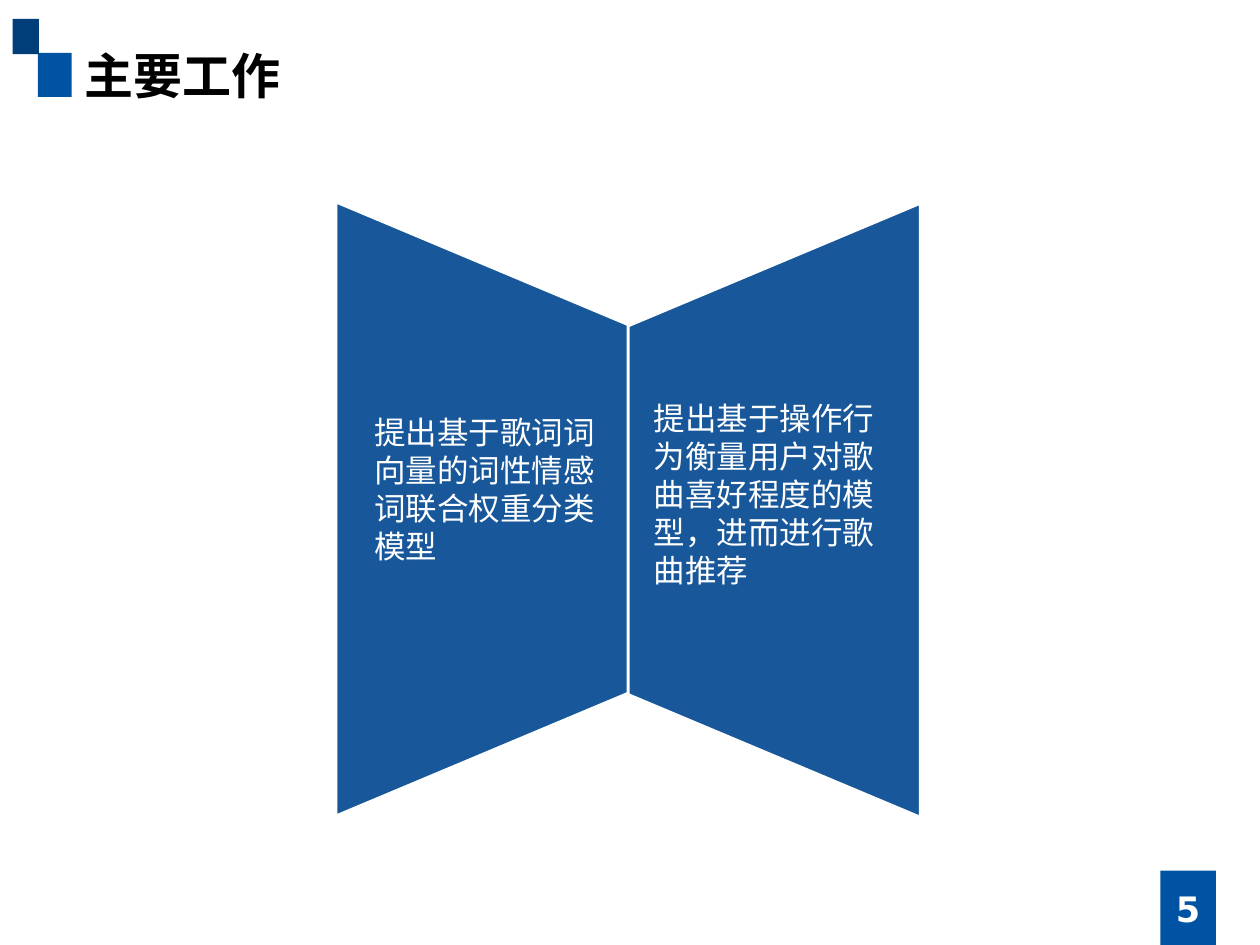
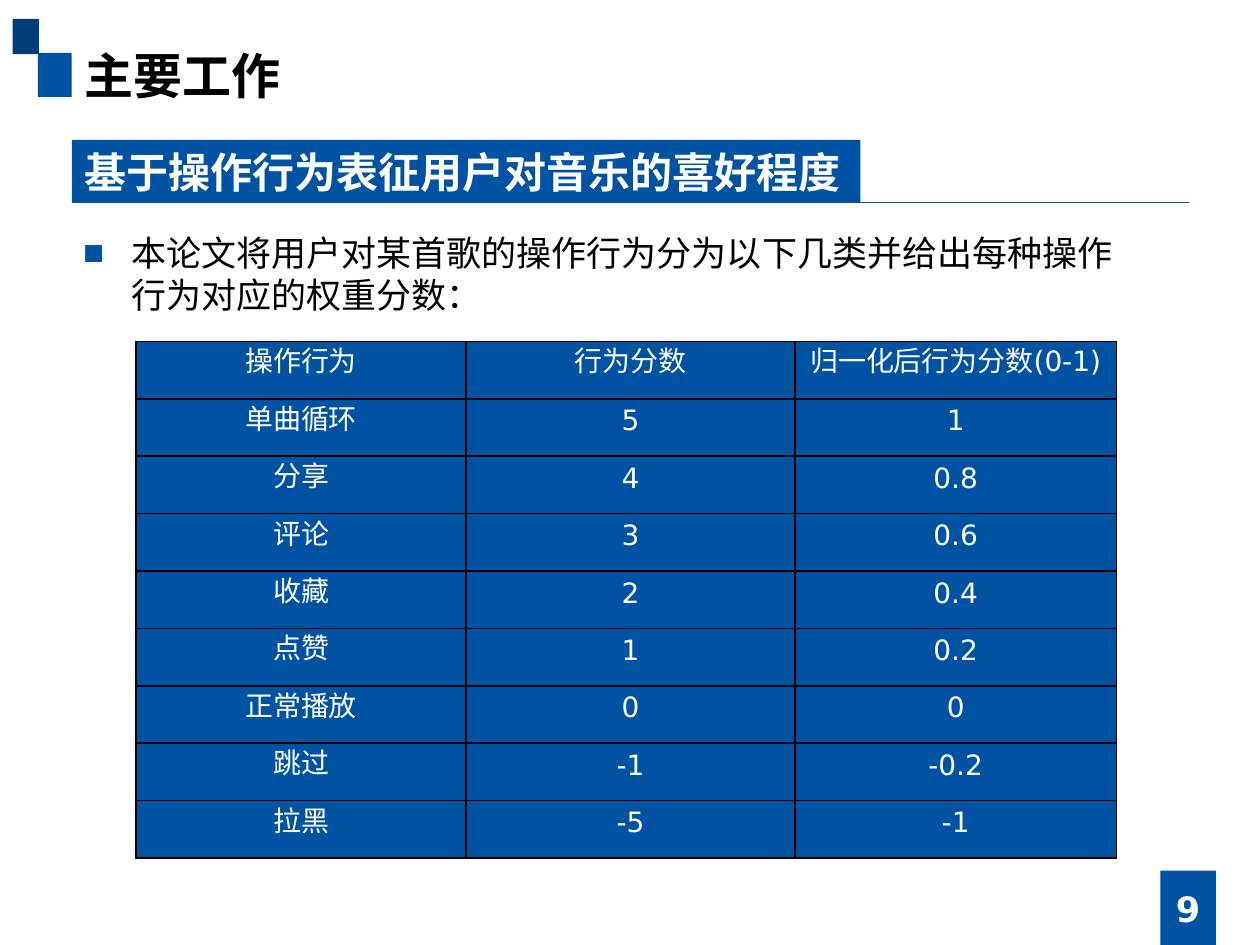
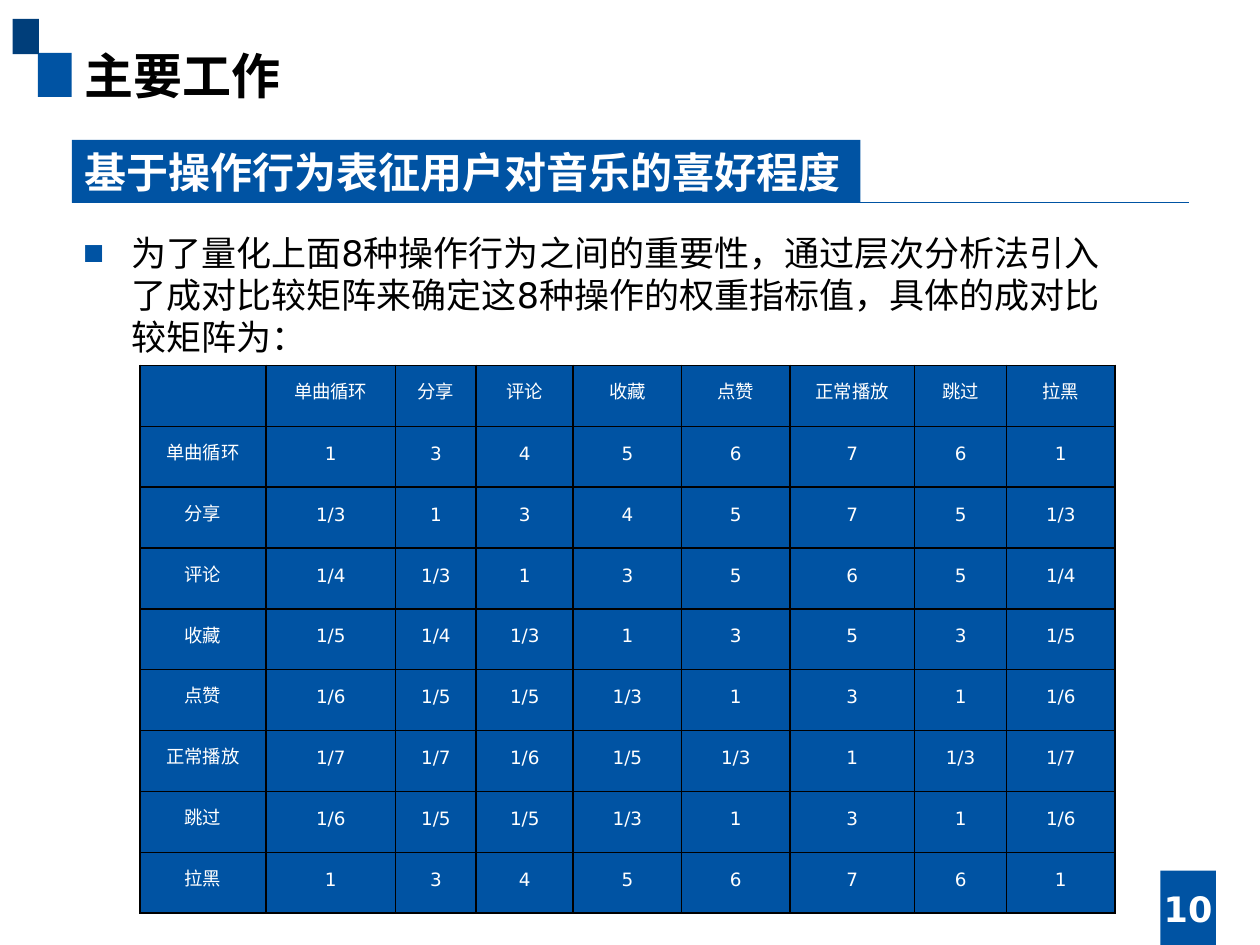
import lxml.etree
import pptx
import pptx.dml.color
import pptx.enum.shapes
import pptx.enum.text
import pptx.oxml.ns
import pptx.util

Inches = pptx.util.Inches
Pt = pptx.util.Pt
ALIGN = pptx.enum.text.PP_ALIGN
ANCHOR = pptx.enum.text.MSO_ANCHOR
AUTO_SIZE = pptx.enum.text.MSO_AUTO_SIZE
RECTANGLE = pptx.enum.shapes.MSO_SHAPE.RECTANGLE
STRAIGHT = pptx.enum.shapes.MSO_CONNECTOR.STRAIGHT

BLUE = "0053A3"
NAVY = "003E7A"
PANEL_BLUE = "18579A"
WHITE = "FFFFFF"
BLACK = "000000"
FONT = "DejaVu Sans"
TITLE_FONT = "Noto Sans CJK SC"
PANEL_FONT = "Arial"

TITLE = "主要工作"
BANNER = "基于操作行为表征用户对音乐的喜好程度"
LEFT_PANEL_TEXT = "提出基于歌词词向量的词性情感词联合权重分类模型"
RIGHT_PANEL_TEXT = "提出基于操作行为衡量用户对歌曲喜好程度的模型，进而进行歌曲推荐"
SCORES_INTRO = "本论文将用户对某首歌的操作行为分为以下几类并给出每种操作行为对应的权重分数："
MATRIX_INTRO = (
    "为了量化上面8种操作行为之间的重要性，通过层次分析法引入了成对比较矩阵"
    "来确定这8种操作的权重指标值，具体的成对比较矩阵为："
)

ACTIONS = ["单曲循环", "分享", "评论", "收藏", "点赞", "正常播放", "跳过", "拉黑"]
SCORE_HEADER = ["操作行为", "行为分数", "归一化后行为分数(0-1)"]
SCORES = ["5 1", "4 0.8", "3 0.6", "2 0.4", "1 0.2", "0 0", "-1 -0.2", "-5 -1"]
COMPARISONS = [
    "1 3 4 5 6 7 6 1",
    "1/3 1 3 4 5 7 5 1/3",
    "1/4 1/3 1 3 5 6 5 1/4",
    "1/5 1/4 1/3 1 3 5 3 1/5",
    "1/6 1/5 1/5 1/3 1 3 1 1/6",
    "1/7 1/7 1/6 1/5 1/3 1 1/3 1/7",
    "1/6 1/5 1/5 1/3 1 3 1 1/6",
    "1 3 4 5 6 7 6 1",
]


def color(value):
    """Return the colour for a hex string."""
    return pptx.dml.color.RGBColor.from_string(value)


def add_element(parent, tag, **attributes):
    """Append a DrawingML element to a parent element."""
    return lxml.etree.SubElement(parent, pptx.oxml.ns.qn(tag), **attributes)


def place(shape, left, top, width, height):
    """Move and size a shape in inches."""
    shape.left, shape.top = Inches(left), Inches(top)
    shape.width, shape.height = Inches(width), Inches(height)


def format_paragraph(paragraph, size, name, text_color, bold=False, align=ALIGN.LEFT):
    """Set the alignment and font of a paragraph."""
    paragraph.alignment = align
    font = paragraph.font
    font.size = Pt(size)
    font.name = name
    font.bold = bold
    font.color.rgb = color(text_color)


def add_rectangle(slide, left, top, width, height, fill):
    """Add a borderless filled rectangle."""
    shape = slide.shapes.add_shape(
        RECTANGLE, Inches(left), Inches(top), Inches(width), Inches(height))
    shape.shadow.inherit = False
    shape.fill.solid()
    shape.fill.fore_color.rgb = color(fill)
    shape.line.fill.background()
    return shape


def add_text(slide, box, text, size, name, bold=False, align=ALIGN.LEFT, anchor=ANCHOR.TOP):
    """Add a wrapping text box with white text."""
    frame = slide.shapes.add_textbox(*map(Inches, box)).text_frame
    frame.word_wrap = True
    frame.vertical_anchor = anchor
    frame.text = text
    format_paragraph(frame.paragraphs[0], size, name, WHITE, bold, align)


def add_slide(presentation, layout_index, page):
    """Add a slide with the shared squares, title and page number."""
    slide = presentation.slides.add_slide(presentation.slide_layouts[layout_index])
    add_rectangle(slide, 0.3, 0.42, 0.27, 0.35, BLUE)
    add_rectangle(slide, 0.1, 0.15, 0.21, 0.28, NAVY)
    add_rectangle(slide, 9.21, 6.91, 0.44, 0.59, BLUE)
    title = slide.shapes.title
    place(title, 0.57, 0.31, 4.43, 0.57)
    frame = title.text_frame
    frame.text = TITLE
    frame.vertical_anchor = ANCHOR.TOP
    frame.auto_size = AUTO_SIZE.SHAPE_TO_FIT_TEXT
    format_paragraph(frame.paragraphs[0], 28, TITLE_FONT, BLACK, True)
    add_text(slide, (8.86, 7.01, 1.14, 0.4), str(page), 20, FONT, True,
             ALIGN.CENTER, ANCHOR.MIDDLE)
    return slide


def add_panel(slide, outer, inner, top):
    """Add a panel whose height narrows from its outer to its inner edge."""
    height, inset = 4.86, 0.97
    corners = [(outer, top + height), (outer, top),
               (inner, top + inset), (inner, top + height - inset)]
    points = [(Inches(x), Inches(y)) for x, y in corners]
    builder = slide.shapes.build_freeform(*points[0])
    builder.add_line_segments(points[1:], close=True)
    panel = builder.convert_to_shape()
    panel.shadow.inherit = False
    panel.fill.solid()
    panel.fill.fore_color.rgb = color(PANEL_BLUE)
    panel.line.color.rgb = color(WHITE)
    panel.line.width = Pt(1)


def add_banner(slide):
    """Add the section banner and the rule under it."""
    banner = add_rectangle(slide, 0.57, 1.11, 6.26, 0.5, BLUE)
    frame = banner.text_frame
    frame.word_wrap = False
    frame.vertical_anchor = ANCHOR.TOP
    frame.text = BANNER
    format_paragraph(frame.paragraphs[0], 24, FONT, WHITE, True)
    rule = slide.shapes.add_connector(
        STRAIGHT, Inches(0.57), Inches(1.61), Inches(9.44), Inches(1.61))
    rule.line.color.rgb = color(BLUE)
    rule.line.width = Pt(0.5)
    add_element(rule._element.spPr, "a:effectLst")


def fill_body(slide, text, height):
    """Fill the body placeholder with one square-bulleted paragraph."""
    body = slide.placeholders[1]
    place(body, 0.56, 1.79, 8.54, height)
    frame = body.text_frame
    frame.text = text
    frame.auto_size = AUTO_SIZE.SHAPE_TO_FIT_TEXT
    paragraph = frame.paragraphs[0]
    paragraph.space_before = Pt(0)
    properties = paragraph._p.get_or_add_pPr()
    properties.set("marL", str(Inches(0.38)))
    properties.set("indent", str(Inches(-0.38)))
    bullet_color = add_element(properties, "a:buClr")
    add_element(bullet_color, "a:srgbClr", val=BLUE)
    add_element(properties, "a:buFont", typeface="Arial")
    add_element(properties, "a:buChar", char="■")
    format_paragraph(paragraph, 20, FONT, BLACK)


def add_borders(cell):
    """Draw thin black borders on all four sides of a cell."""
    properties = cell._tc.get_or_add_tcPr()
    for side in ("a:lnL", "a:lnR", "a:lnT", "a:lnB"):
        line = add_element(properties, side, w=str(Pt(1)))
        fill = add_element(line, "a:solidFill")
        add_element(fill, "a:srgbClr", val=BLACK)


def add_grid(slide, left, top, widths, height, rows, size):
    """Add a bordered blue table with equal row heights."""
    table = slide.shapes.add_table(
        len(rows), len(widths), Inches(left), Inches(top),
        Inches(sum(widths)), Inches(height)).table
    table.first_row = False
    table.horz_banding = False
    for column, width in zip(table.columns, widths):
        column.width = Inches(width)
    for row_index, row in enumerate(rows):
        for column_index, text in enumerate(row):
            cell = table.cell(row_index, column_index)
            cell.margin_left = cell.margin_right = Inches(0.07)
            cell.margin_top = cell.margin_bottom = 0
            add_borders(cell)
            cell.fill.solid()
            cell.fill.fore_color.rgb = color(BLUE)
            cell.text = text
            paragraph = cell.text_frame.paragraphs[0]
            paragraph.line_spacing = Pt(22)
            format_paragraph(paragraph, size, FONT, WHITE, align=ALIGN.CENTER)


def label_rows(header, lines):
    """Join the header with the values of each action."""
    return [header] + [[action, *line.split()] for action, line in zip(ACTIONS, lines)]


def build_overview(presentation):
    """Build the slide with the two contributions."""
    slide = add_slide(presentation, 5, 5)
    add_panel(slide, 2.67, 4.98, 1.61)
    add_panel(slide, 7.3, 4.99, 1.62)
    add_text(slide, (2.87, 3.23, 2.02, 1.31), LEFT_PANEL_TEXT, 18, PANEL_FONT)
    add_text(slide, (5.09, 3.12, 2.02, 1.62), RIGHT_PANEL_TEXT, 18, PANEL_FONT)


def build_scores(presentation):
    """Build the slide with the score of each action."""
    slide = add_slide(presentation, 1, 9)
    add_banner(slide)
    fill_body(slide, SCORES_INTRO, 0.77)
    rows = label_rows(SCORE_HEADER, SCORES)
    add_grid(slide, 1.08, 2.71, [2.62, 2.61, 2.55], 4.1, rows, 16)


def build_matrix(presentation):
    """Build the slide with the pairwise comparison matrix."""
    slide = add_slide(presentation, 1, 10)
    add_banner(slide)
    fill_body(slide, MATRIX_INTRO, 1.11)
    rows = label_rows(["", *ACTIONS], COMPARISONS)
    widths = [1, 1.03, 0.64, 0.77, 0.86, 0.86, 0.99, 0.73, 0.86]
    add_grid(slide, 1.11, 2.9, widths, 4.35, rows, 10.5)


def main():
    """Build and save the presentation."""
    presentation = pptx.Presentation()
    presentation.slide_width = Inches(10)
    presentation.slide_height = Inches(7.5)
    build_overview(presentation)
    build_scores(presentation)
    build_matrix(presentation)
    presentation.save("out.pptx")


if __name__ == "__main__":
    main()
